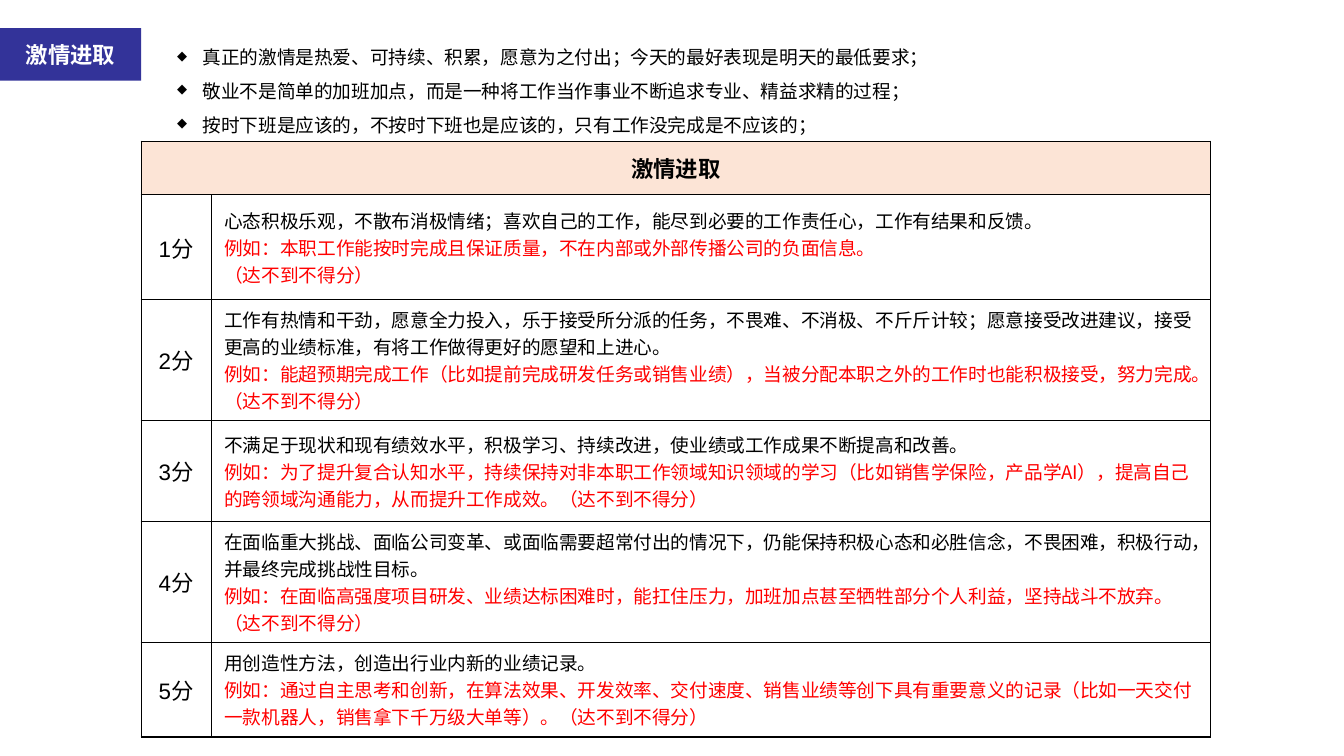
from dataclasses import dataclass

from lxml import etree
from pptx import Presentation
from pptx.dml.color import RGBColor
from pptx.enum.text import MSO_ANCHOR, MSO_AUTO_SIZE, PP_ALIGN
from pptx.oxml.ns import qn
from pptx.util import Inches, Pt

LEFT, CENTER = PP_ALIGN.LEFT, PP_ALIGN.CENTER
MIDDLE = MSO_ANCHOR.MIDDLE
NO_FIT, GROW = MSO_AUTO_SIZE.NONE, MSO_AUTO_SIZE.SHAPE_TO_FIT_TEXT
LATIN_FONT, CHINESE_FONT = "Arial", "Noto Sans CJK SC"
BLACK, WHITE, RED = "000000", "FFFFFF", "FF0000"
INDIGO, PEACH = "333399", "FCE4D6"

HEADING = "激情进取"
FAIL_NOTE = "（达不到不得分）"
PAGE_WIDTH = 10
PAGE_HEIGHT = PAGE_WIDTH * 9 / 16
COLUMN_WIDTHS = (0.52, 7.44)
HEADER_HEIGHT = 0.4
BULLET_INDENT = 0.19


@dataclass
class Level:
    """One score level: its row height, standard and example paragraphs."""
    height: float
    standard: str
    examples: tuple[str, ...]


PRINCIPLES = (
    "真正的激情是热爱、可持续、积累，愿意为之付出；今天的最好表现是明天的最低要求；",
    "敬业不是简单的加班加点，而是一种将工作当作事业不断追求专业、精益求精的过程；",
    "按时下班是应该的，不按时下班也是应该的，只有工作没完成是不应该的；",
)

LEVELS = (
    Level(0.78,
          "心态积极乐观，不散布消极情绪；喜欢自己的工作，能尽到必要的工作责任心，工作有结果和反馈。",
          ("例如：本职工作能按时完成且保证质量，不在内部或外部传播公司的负面信息。", FAIL_NOTE)),
    Level(0.83,
          "工作有热情和干劲，愿意全力投入，乐于接受所分派的任务，不畏难、不消极、不斤斤计较；"
          "愿意接受改进建议，接受更高的业绩标准，有将工作做得更好的愿望和上进心。",
          ("例如：能超预期完成工作（比如提前完成研发任务或销售业绩），"
           "当被分配本职之外的工作时也能积极接受，努力完成。" + FAIL_NOTE,)),
    Level(0.75,
          "不满足于现状和现有绩效水平，积极学习、持续改进，使业绩或工作成果不断提高和改善。",
          ("例如：为了提升复合认知水平，持续保持对非本职工作领域知识领域的学习"
           "（比如销售学保险，产品学AI），提高自己的跨领域沟通能力，从而提升工作成效。" + FAIL_NOTE,)),
    Level(0.74,
          "在面临重大挑战、面临公司变革、或面临需要超常付出的情况下，仍能保持积极心态和必胜信念，"
          "不畏困难，积极行动，并最终完成挑战性目标。",
          ("例如：在面临高强度项目研发、业绩达标困难时，能扛住压力，"
           "加班加点甚至牺牲部分个人利益，坚持战斗不放弃。" + FAIL_NOTE,)),
    Level(0.67,
          "用创造性方法，创造出行业内新的业绩记录。",
          ("例如：通过自主思考和创新，在算法效果、开发效率、交付速度、销售业绩等创下具有重要意义的记录"
           "（比如一天交付一款机器人，销售拿下千万级大单等）。" + FAIL_NOTE,)),
)


def rgb(color: str) -> RGBColor:
    """Turn a hex string into a colour."""
    return RGBColor.from_string(color)


def write(para, text: str, *, size=10, font=LATIN_FONT, color=BLACK, bold=False, align=LEFT):
    """Add formatted text to a paragraph."""
    para.alignment = align
    span = para.add_run()
    span.text = text
    span.font.size = Pt(size)
    span.font.bold = bold
    span.font.name = font
    span.font.color.rgb = rgb(color)
    east_asian = etree.SubElement(span.font._element, qn("a:ea"))
    east_asian.set("typeface", CHINESE_FONT)


def next_para(frame, index: int):
    """Return the first paragraph for index 0, otherwise a new one."""
    return frame.add_paragraph() if index else frame.paragraphs[0]


def add_bullet(para) -> None:
    """Give a paragraph a small hanging diamond bullet."""
    properties = para._p.get_or_add_pPr()
    properties.set("marL", str(Inches(BULLET_INDENT)))
    properties.set("indent", str(-Inches(BULLET_INDENT)))
    etree.SubElement(properties, qn("a:buSzPct")).set("val", "70000")
    etree.SubElement(properties, qn("a:buChar")).set("char", "◆")


def format_cell(cell, bottom_width: float) -> None:
    """Draw the cell borders, clear the fill and centre vertically."""
    properties = cell._tc.get_or_add_tcPr()
    for side in "LRTB":
        width = bottom_width if side == "B" else 0.5
        line = etree.SubElement(properties, qn(f"a:ln{side}"), w=str(Pt(width)))
        fill = etree.SubElement(line, qn("a:solidFill"))
        etree.SubElement(fill, qn("a:srgbClr"), val=BLACK)
    cell.fill.background()
    cell.vertical_anchor = MIDDLE


def draw_heading(page) -> None:
    """Format the title as the coloured tab at the left edge."""
    title = page.shapes.title
    title.left, title.top = Inches(0), Inches(0.21)
    title.width, title.height = Inches(1.05), Inches(0.39)
    title.fill.solid()
    title.fill.fore_color.rgb = rgb(INDIGO)
    frame = title.text_frame
    frame.auto_size = NO_FIT
    frame.vertical_anchor = MIDDLE
    write(frame.paragraphs[0], HEADING, size=12, font=CHINESE_FONT,
          color=WHITE, bold=True, align=CENTER)


def draw_principles(page) -> None:
    """Draw the bulleted principles above the table."""
    box = page.shapes.add_textbox(Inches(1.22), Inches(0.21), Inches(7.79), Inches(1.02))
    frame = box.text_frame
    frame.word_wrap = True
    frame.auto_size = GROW
    for index, principle in enumerate(PRINCIPLES):
        para = next_para(frame, index)
        para.line_spacing = 1.5
        add_bullet(para)
        write(para, principle, font=LATIN_FONT if index else CHINESE_FONT)


def draw_scores(page) -> None:
    """Draw the table of score levels."""
    heights = [HEADER_HEIGHT] + [level.height for level in LEVELS]
    table = page.shapes.add_table(
        len(heights), len(COLUMN_WIDTHS), Inches(1.05), Inches(1.05),
        Inches(sum(COLUMN_WIDTHS)), Inches(sum(heights))).table
    table.first_row = table.horz_banding = False
    for column, width in zip(table.columns, COLUMN_WIDTHS):
        column.width = Inches(width)
    for index, (row, height) in enumerate(zip(table.rows, heights)):
        row.height = Inches(height)
        for cell in row.cells:
            format_cell(cell, 1.2 if index == len(LEVELS) else 0.5)

    header = table.cell(0, 0)
    header.merge(table.cell(0, 1))
    header.fill.solid()
    header.fill.fore_color.rgb = rgb(PEACH)
    write(header.text_frame.paragraphs[0], HEADING, size=12, bold=True, align=CENTER)

    for score, level in enumerate(LEVELS, start=1):
        label = table.cell(score, 0).text_frame
        write(label.paragraphs[0], f"{score}分", size=12, align=CENTER)
        frame = table.cell(score, 1).text_frame
        write(frame.paragraphs[0], level.standard)
        for example in level.examples:
            write(frame.add_paragraph(), example, font=CHINESE_FONT, color=RED)


def main() -> None:
    """Build and save the deck."""
    deck = Presentation()
    deck.slide_width, deck.slide_height = Inches(PAGE_WIDTH), Inches(PAGE_HEIGHT)
    page = deck.slides.add_slide(deck.slide_layouts.get_by_name("Title Only"))
    draw_scores(page)
    draw_principles(page)
    draw_heading(page)
    deck.save("out.pptx")


main()
